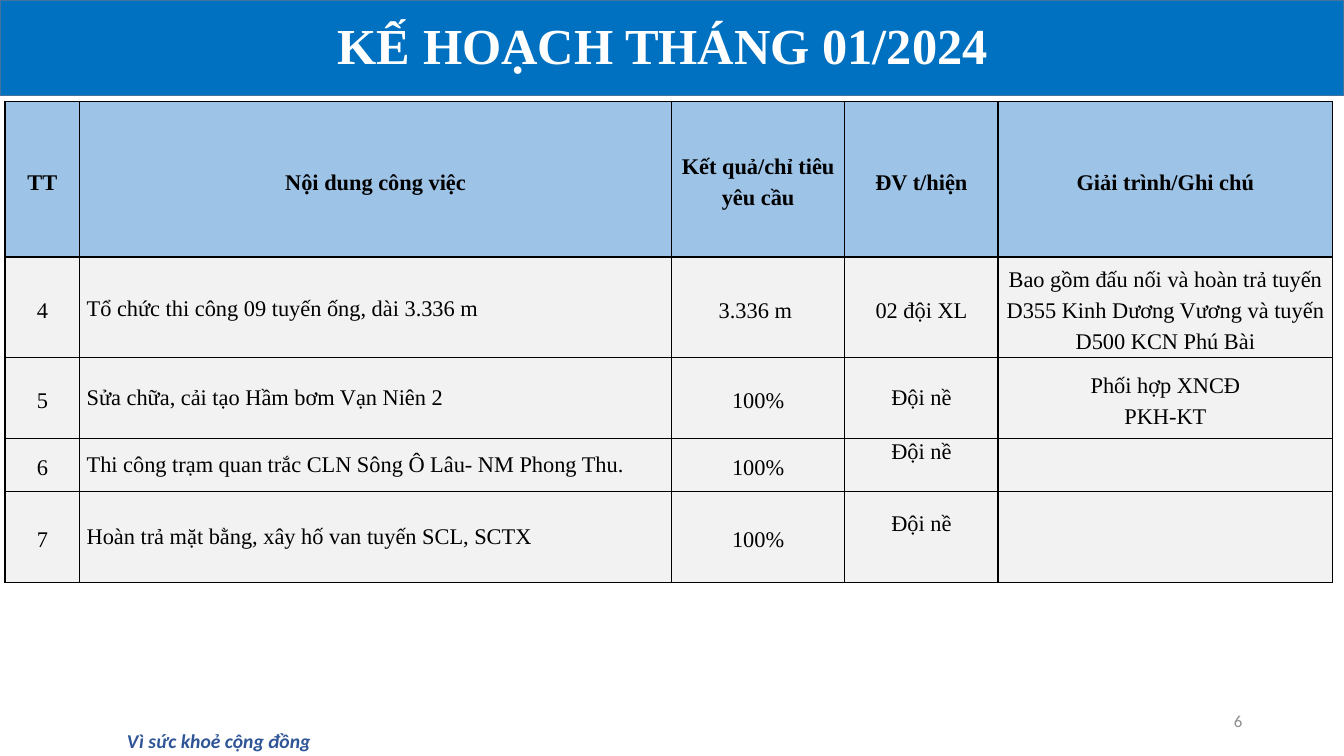
import pptx
import pptx.util
import pptx.oxml
import pptx.oxml.ns
import pptx.dml.color
import pptx.enum.shapes
import pptx.enum.text

Inches = pptx.util.Inches
ALIGN = pptx.enum.text.PP_ALIGN
ANCHOR = pptx.enum.text.MSO_ANCHOR

WIDTH, HEIGHT = 13.33, 7.5
SERIF, SANS = "Times New Roman", "Calibri"
COLORS = {
    "band": "0070C0", "band_line": "43739E", "title": "FFFFFF",
    "header": "9DC3E6", "body": "F2F2F2", "text": "000000",
    "slogan": "2F5597", "number": "8C8C8C",
}
COLUMN_WIDTHS = [0.74, 5.87, 1.72, 1.52, 3.32]
ROW_HEIGHTS = [1.54, 1.0, 0.8, 0.53, 0.9]
TASK_COLUMN, UNIT_COLUMN = 1, 3
PLAN = [
    ["TT", "Nội dung công việc", "Kết quả/chỉ tiêu yêu cầu", "ĐV t/hiện",
     "Giải trình/Ghi chú"],
    ["4", "Tổ chức thi công 09 tuyến ống, dài 3.336 m", "3.336 m ", "02 đội XL",
     "Bao gồm đấu nối và hoàn trả tuyến D355 Kinh Dương Vương và tuyến "
     "D500 KCN Phú Bài"],
    ["5", "Sửa chữa, cải tạo Hầm bơm Vạn Niên 2", "100%", "Đội nề",
     "Phối hợp XNCĐ\nPKH-KT"],
    ["6", "Thi công trạm quan trắc CLN Sông Ô Lâu- NM Phong Thu.", "100%",
     "Đội nề", ""],
    ["7", "Hoàn trả mặt bằng, xây hố van tuyến SCL, SCTX", "100%", "Đội nề", ""],
]


def rgb(name):
    return pptx.dml.color.RGBColor.from_string(COLORS[name])


def write(frame, text, color, font, size, align=ALIGN.LEFT, spacing=1.0, **styles):
    frame.text = text
    values = {"name": font, "size": pptx.util.Pt(size), "bold": False, **styles}
    for paragraph in frame.paragraphs:
        paragraph.alignment = align
        paragraph.line_spacing = spacing
        for run in paragraph.runs:
            run.font.color.rgb = rgb(color)
            for key, value in values.items():
                setattr(run.font, key, value)


def set_frame(frame, anchor=ANCHOR.TOP):
    values = {
        "word_wrap": True, "auto_size": pptx.enum.text.MSO_AUTO_SIZE.NONE,
        "vertical_anchor": anchor,
        "margin_left": Inches(0.1), "margin_right": Inches(0.1),
        "margin_top": Inches(0.05), "margin_bottom": Inches(0.05),
    }
    for key, value in values.items():
        setattr(frame, key, value)


def add_title(slide, left, top, width, height):
    # Blue band, kept behind the title
    band = slide.shapes.add_shape(
        pptx.enum.shapes.MSO_SHAPE.RECTANGLE,
        *map(Inches, (left, top, width, height)))
    band.shadow.inherit = False
    band.fill.solid()
    band.fill.fore_color.rgb = rgb("band")
    band.line.color.rgb = rgb("band_line")
    band.line.width = pptx.util.Pt(1)
    slide.shapes._spTree.insert(2, band._element)

    title = slide.shapes.title
    box = {"left": left + 1.91, "top": top + 0.09,
           "width": width * 0.7, "height": height * 0.75}
    for key, value in box.items():
        setattr(title, key, Inches(value))
    set_frame(title.text_frame)
    write(title.text_frame, "KẾ HOẠCH THÁNG 01/2024", "title", SERIF, 36,
          ALIGN.CENTER, bold=True)


def set_borders(cell):
    properties = cell._tc.get_or_add_tcPr()
    for side in ("lnL", "lnR", "lnT", "lnB"):
        properties.append(pptx.oxml.parse_xml(
            f'<a:{side} {pptx.oxml.ns.nsdecls("a")} w="12700"><a:solidFill>'
            f'<a:srgbClr val="{COLORS["text"]}"/></a:solidFill></a:{side}>'))


def format_cell(cell, text, row, column):
    set_borders(cell)
    header = row == 0
    cell.fill.solid()
    cell.fill.fore_color.rgb = rgb("header" if header else "body")
    # Units in the last two rows sit half a line above the middle
    raised = column == UNIT_COLUMN and row >= 3
    values = {
        "margin_left": Inches(0.07), "margin_right": Inches(0.07),
        "margin_top": 0, "margin_bottom": Inches(0.26 if raised else 0),
        "vertical_anchor": ANCHOR.MIDDLE,
    }
    for key, value in values.items():
        setattr(cell, key, value)

    left_aligned = column == TASK_COLUMN and not header
    spacing = 1.25
    if left_aligned:
        spacing = 1.15 if row == 1 else 1.0
    elif column == UNIT_COLUMN and row >= 2:
        spacing = 1.0
    write(cell.text_frame, text, "text", SERIF, 16,
          ALIGN.LEFT if left_aligned else ALIGN.CENTER, spacing, bold=header)


def add_plan(slide, left, top):
    table = slide.shapes.add_table(
        len(ROW_HEIGHTS), len(COLUMN_WIDTHS), Inches(left), Inches(top),
        Inches(sum(COLUMN_WIDTHS)), Inches(sum(ROW_HEIGHTS))).table
    table.first_row = table.horz_banding = False
    for column, width in zip(table.columns, COLUMN_WIDTHS):
        column.width = Inches(width)
    for row, height in zip(table.rows, ROW_HEIGHTS):
        row.height = Inches(height)
    for row, texts in enumerate(PLAN):
        for column, text in enumerate(texts):
            format_cell(table.cell(row, column), text, row, column)


def add_footer(slide, left, top, width):
    slogan = slide.shapes.add_textbox(
        Inches(left + 1.16), Inches(top + 0.23), Inches(3.09), Inches(0.34))
    set_frame(slogan.text_frame)
    write(slogan.text_frame, "Vì sức khoẻ cộng đồng", "slogan", SANS, 14,
          bold=True, italic=True)

    number = slide.shapes.add_textbox(
        Inches(left + width - 3.91), Inches(top), Inches(3), Inches(0.4))
    set_frame(number.text_frame, ANCHOR.MIDDLE)
    write(number.text_frame, "6", "number", SANS, 12, ALIGN.RIGHT)


def main():
    presentation = pptx.Presentation()
    presentation.slide_width = Inches(WIDTH)
    presentation.slide_height = Inches(HEIGHT)
    slide = presentation.slides.add_slide(presentation.slide_layouts[5])
    add_title(slide, 0, 0, WIDTH, 0.95)
    add_plan(slide, 0.05, 1.01)
    add_footer(slide, 0, 6.95, WIDTH)
    presentation.save("out.pptx")


if __name__ == "__main__":
    main()
